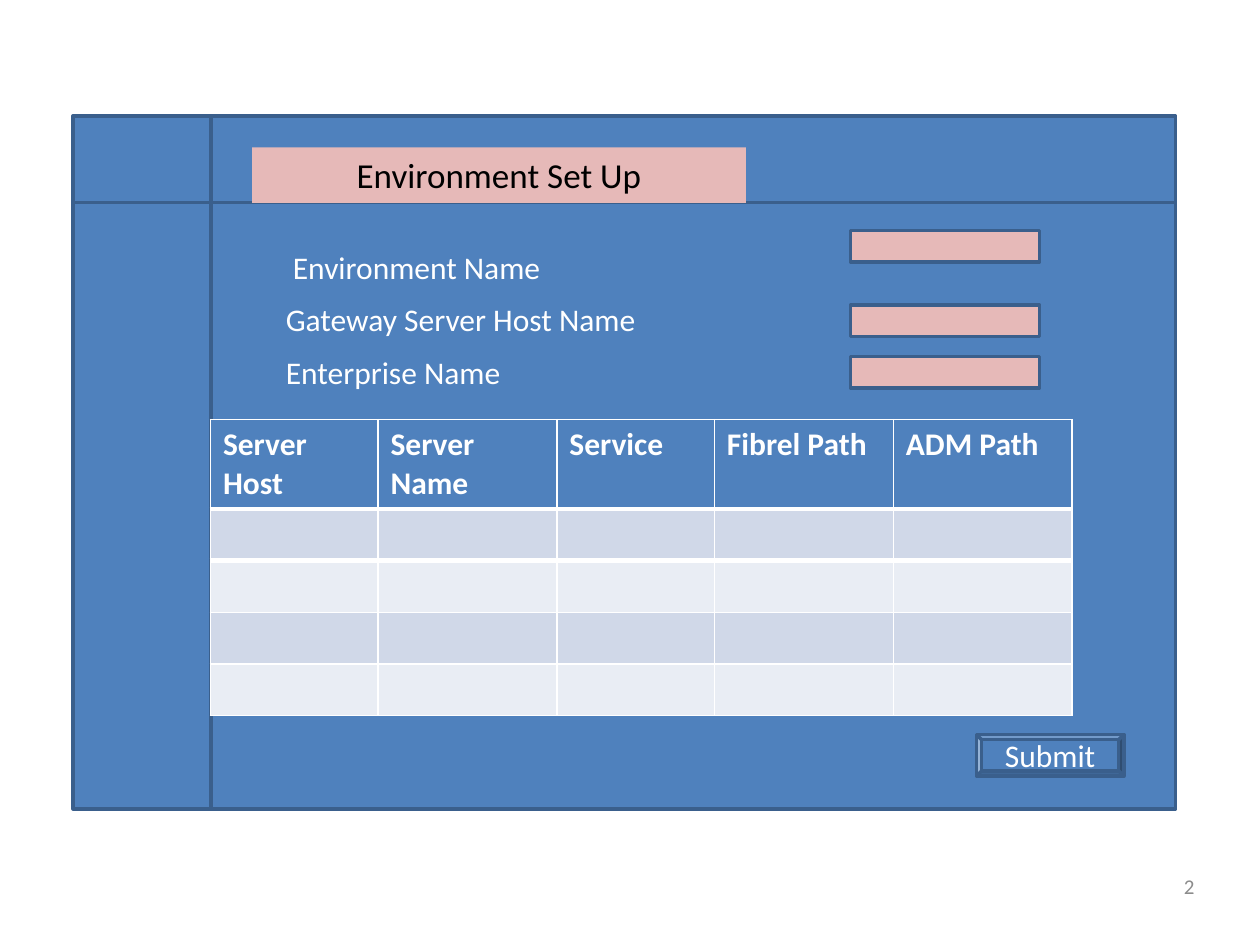
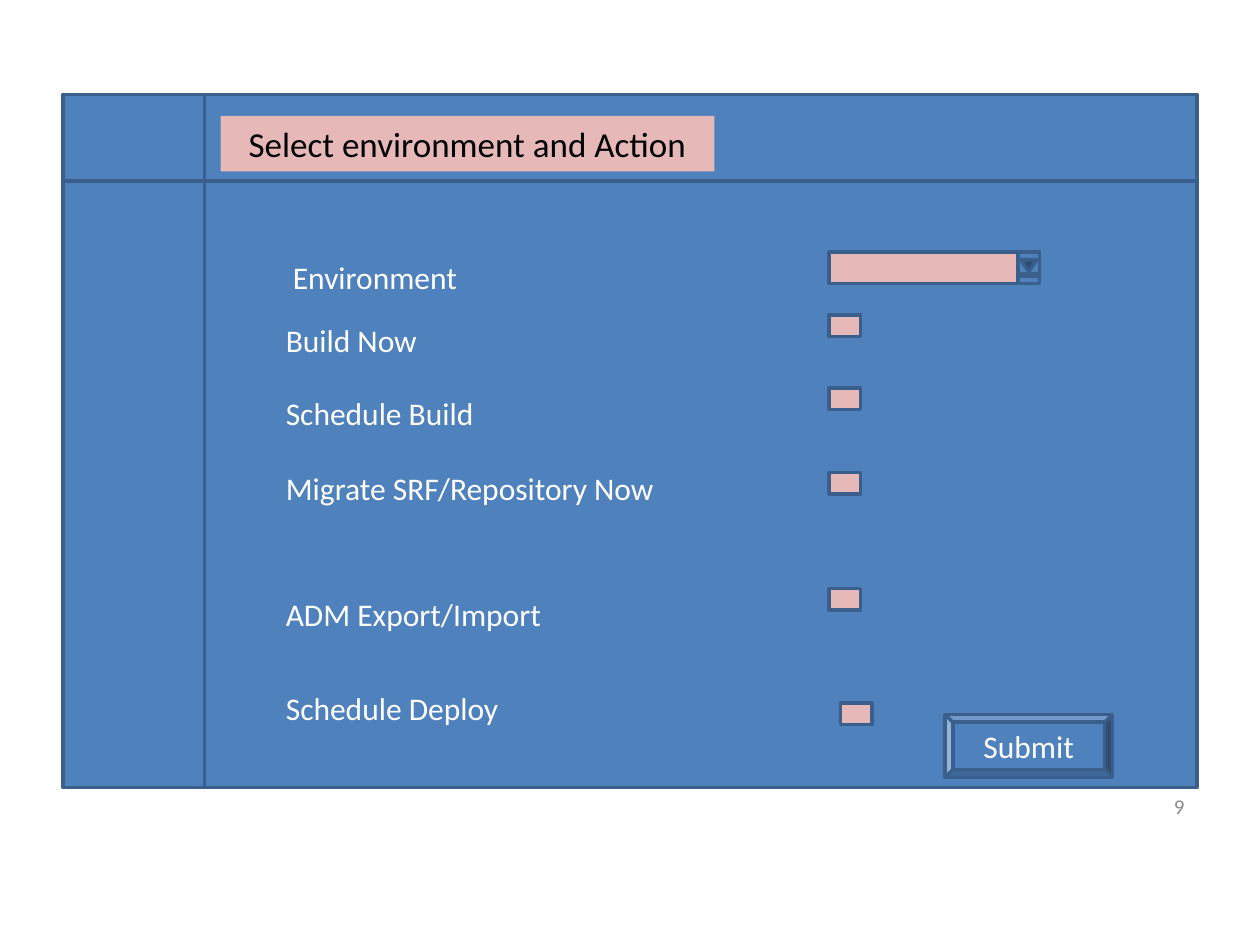
from dataclasses import dataclass

from lxml.etree import SubElement
from pptx import Presentation
from pptx.dml.color import RGBColor
from pptx.enum.shapes import MSO_SHAPE
from pptx.enum.text import MSO_ANCHOR, MSO_AUTO_SIZE, PP_ALIGN
from pptx.oxml.ns import qn
from pptx.presentation import Presentation as Deck
from pptx.shapes.autoshape import Shape
from pptx.slide import Slide
from pptx.table import _Cell as Cell
from pptx.util import Inches, Pt

FONT = "Calibri"
BLUE = RGBColor(0x4F, 0x81, 0xBD)
OUTLINE = RGBColor(0x3A, 0x5F, 0x8C)
PINK = RGBColor(0xE6, 0xB9, 0xB8)
BLACK = RGBColor(0, 0, 0)
WHITE = RGBColor(0xFF, 0xFF, 0xFF)
GRAY = RGBColor(0x8C, 0x8C, 0x8C)
BANDS = (RGBColor(0xD0, 0xD8, 0xE8), RGBColor(0xE9, 0xED, 0xF4))

TITLE_ONLY_LAYOUT = 5
LABEL_LEFT = 2.17


@dataclass(frozen=True)
class Box:
    left: float
    top: float
    width: float
    height: float

    def lengths(self) -> tuple[Inches, Inches, Inches, Inches]:
        return Inches(self.left), Inches(self.top), Inches(self.width), Inches(self.height)


@dataclass(frozen=True)
class Field:
    label: str
    label_top: float
    label_width: float
    input_kind: MSO_SHAPE
    input_box: Box


@dataclass(frozen=True)
class Form:
    title: str
    title_box: Box
    frame_box: Box
    number: str
    number_box: Box
    submit_box: Box
    fields: tuple[Field, ...]


def entry(label: str, label_top: float, label_width: float, left: float, top: float) -> Field:
    return Field(label, label_top, label_width, MSO_SHAPE.RECTANGLE, Box(left, top, 1.5, 0.25))


def checkbox(label: str, label_top: float, label_width: float, top: float,
             left: float = 6.58) -> Field:
    return Field(label, label_top, label_width, MSO_SHAPE.ACTION_BUTTON_CUSTOM,
                 Box(left, top, 0.25, 0.17))


SETUP_FORM = Form(
    title="Environment Set Up",
    title_box=Box(2, 1.17, 3.92, 0.44),
    frame_box=Box(0.58, 0.92, 8.75, 5.5),
    number="2",
    number_box=Box(7.25, 6.83, 2.33, 0.4),
    submit_box=Box(7.75, 5.83, 1.17, 0.33),
    fields=(
        entry(" Environment Name", 1.92, 2.5, 6.75, 1.83),
        entry("Gateway Server Host Name", 2.33, 3.08, 6.75, 2.42),
        entry("Enterprise Name", 2.75, 3.08, 6.75, 2.83),
    ),
)
ACTION_FORM = Form(
    title="Select environment and Action",
    title_box=Box(1.75, 0.92, 3.92, 0.44),
    frame_box=Box(0.5, 0.75, 9, 5.5),
    number="9",
    number_box=Box(7.17, 6.2, 2.33, 0.4),
    submit_box=Box(7.5, 5.67, 1.33, 0.5),
    fields=(
        entry(" Environment", 2, 2.5, 6.58, 2),
        checkbox("Build Now", 2.5, 1.83, 2.5),
        checkbox("Schedule Build", 3.08, 1.83, 3.08),
        checkbox("Migrate SRF/Repository Now", 3.67, 3.42, 3.75),
        checkbox("ADM Export/Import", 4.67, 3.33, 4.67),
        checkbox("Schedule Deploy", 5.42, 2.08, 5.58, left=6.67),
    ),
)

SERVER_HEADERS = ("Server Host", "Server Name", "Service", "Fibrel Path", "ADM Path")
SERVER_COLUMN_WIDTHS = (1.33, 1.42, 1.25, 1.42, 1.42)
SERVER_ROWS = 5
SERVER_ROW_HEIGHT = 0.41
SERVER_TABLE_BOX = Box(1.67, 3.33, sum(SERVER_COLUMN_WIDTHS), SERVER_ROWS * SERVER_ROW_HEIGHT)


def write(shape: Shape, text: str, size: int, color: RGBColor,
          alignment: PP_ALIGN = PP_ALIGN.LEFT, anchor: MSO_ANCHOR = MSO_ANCHOR.TOP) -> None:
    frame = shape.text_frame
    frame.text = text
    frame.word_wrap = True
    frame.auto_size = MSO_AUTO_SIZE.NONE
    frame.vertical_anchor = anchor
    paragraph = frame.paragraphs[0]
    paragraph.alignment = alignment
    paragraph.font.name = FONT
    paragraph.font.size = Pt(size)
    paragraph.font.color.rgb = color


def add_outlined(slide: Slide, kind: MSO_SHAPE, box: Box, fill: RGBColor) -> Shape:
    shape = slide.shapes.add_shape(kind, *box.lengths())
    shape.shadow.inherit = False
    shape.fill.solid()
    shape.fill.fore_color.rgb = fill
    shape.line.color.rgb = OUTLINE
    shape.line.width = Pt(2)
    return shape


def place_title(slide: Slide, form: Form) -> None:
    title = slide.shapes.title
    title.left, title.top, title.width, title.height = form.title_box.lengths()
    title.fill.solid()
    title.fill.fore_color.rgb = PINK
    write(title, form.title, 20, BLACK, PP_ALIGN.CENTER)


def add_field(slide: Slide, field: Field) -> None:
    box = Box(LABEL_LEFT, field.label_top, field.label_width, 0.4)
    label = slide.shapes.add_textbox(*box.lengths())
    write(label, field.label, 18, WHITE)
    add_outlined(slide, field.input_kind, field.input_box, PINK)


def add_form(presentation: Deck, form: Form) -> Slide:
    slide = presentation.slides.add_slide(presentation.slide_layouts[TITLE_ONLY_LAYOUT])
    frame = add_outlined(slide, MSO_SHAPE.FLOWCHART_INTERNAL_STORAGE, form.frame_box, BLUE)
    slide.shapes.title.element.addprevious(frame.element)
    place_title(slide, form)
    for field in form.fields:
        add_field(slide, field)
    number = slide.shapes.add_textbox(*form.number_box.lengths())
    write(number, form.number, 12, GRAY, PP_ALIGN.RIGHT, MSO_ANCHOR.MIDDLE)
    submit = add_outlined(slide, MSO_SHAPE.BEVEL, form.submit_box, BLUE)
    write(submit, "Submit", 18, WHITE, PP_ALIGN.CENTER, MSO_ANCHOR.MIDDLE)
    return slide


def set_border(cell: Cell, side: str, width: int) -> None:
    properties = cell.fill._xPr
    border = properties.makeelement(qn(f"a:{side}"), {"w": str(Pt(width))})
    fill = SubElement(border, qn("a:solidFill"))
    SubElement(fill, qn("a:srgbClr"), {"val": str(WHITE)})
    properties.find(qn("a:solidFill")).addprevious(border)


def add_server_table(slide: Slide) -> None:
    table = slide.shapes.add_table(
        SERVER_ROWS, len(SERVER_HEADERS), *SERVER_TABLE_BOX.lengths()).table
    for column, width in zip(table.columns, SERVER_COLUMN_WIDTHS):
        column.width = Inches(width)
    for index, row in enumerate(table.rows):
        row.height = Inches(SERVER_ROW_HEIGHT)
        for cell in row.cells:
            cell.fill.solid()
            cell.fill.fore_color.rgb = BANDS[(index - 1) % 2] if index else BLUE
    for cell, header in zip(table.rows[0].cells, SERVER_HEADERS):
        cell.text = header
        font = cell.text_frame.paragraphs[0].font
        font.name = FONT
        font.size = Pt(18)
        font.bold = True
        font.color.rgb = WHITE
        set_border(cell, "lnB", 3)
    for cell in table.rows[1].cells:
        set_border(cell, "lnT", 3)


def add_dropdown_arrow(slide: Slide) -> None:
    arrow = add_outlined(slide, MSO_SHAPE.ACTION_BUTTON_END, Box(8.04, 2.04, 0.25, 0.17), BLUE)
    arrow.rotation = 90


def main() -> None:
    presentation = Presentation()
    presentation.slide_width = Inches(10)
    presentation.slide_height = Inches(7.5)
    add_server_table(add_form(presentation, SETUP_FORM))
    add_dropdown_arrow(add_form(presentation, ACTION_FORM))
    presentation.save("out.pptx")


if __name__ == "__main__":
    main()
